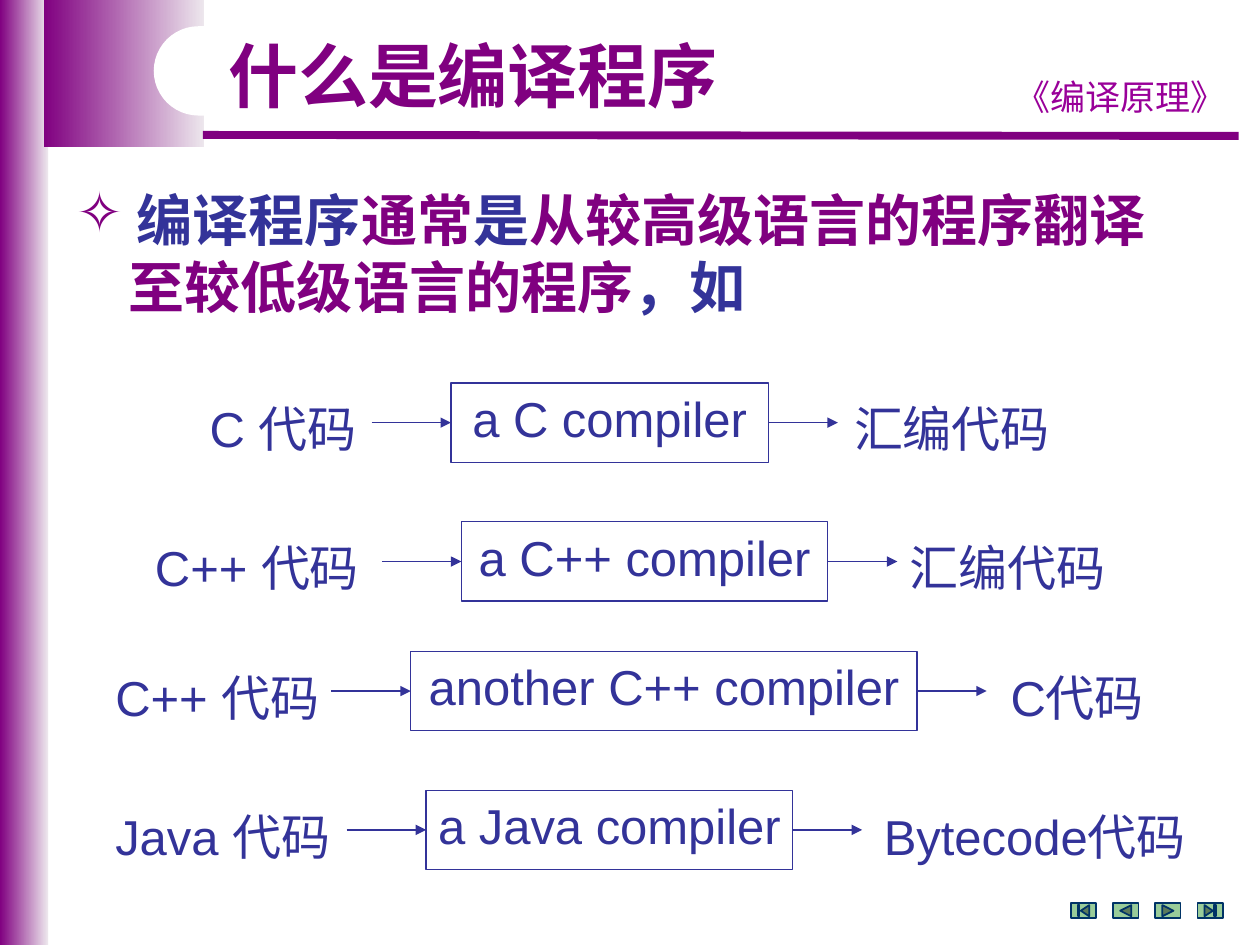
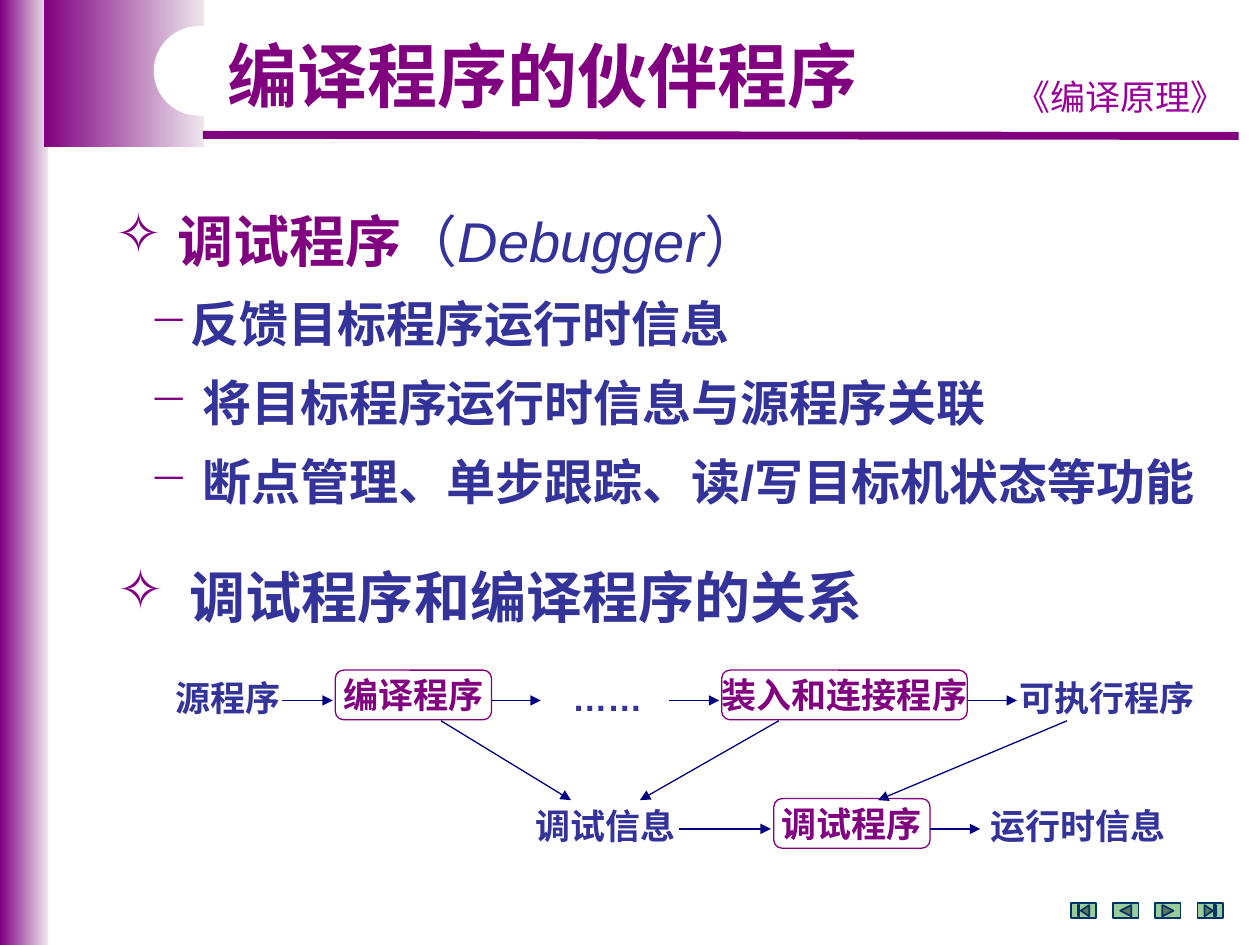
from collections import namedtuple
from dataclasses import dataclass
from lxml.etree import SubElement
from pptx import Presentation
from pptx.dml.color import RGBColor
from pptx.enum.shapes import MSO_CONNECTOR, MSO_SHAPE
from pptx.enum.text import MSO_ANCHOR, PP_ALIGN
from pptx.oxml.ns import qn
from pptx.util import Cm, Pt


@dataclass(frozen=True)
class Theme:
    plum: RGBColor = RGBColor(0x80, 0x00, 0x80)
    pale: RGBColor = RGBColor(0xED, 0xE7, 0xED)
    blue: RGBColor = RGBColor(0x33, 0x33, 0x99)
    navy: RGBColor = RGBColor(0x00, 0x00, 0x80)
    pink: RGBColor = RGBColor(0x99, 0x00, 0x99)
    mint: RGBColor = RGBColor(0x99, 0xCC, 0x99)
    teal: RGBColor = RGBColor(0x00, 0x33, 0x66)
    white: RGBColor = RGBColor(0xFF, 0xFF, 0xFF)
    sans: str = "Arial"
    hand: str = "Comic Neue"
    han: str = "Noto Sans CJK SC"
    title: int = 40
    head: int = 32
    body: int = 28
    note: int = 20


look = Theme()
Run = namedtuple("Run", "text ink bold slant", defaults=(False, False))
Para = namedtuple("Para", "size runs mark left hang above", defaults=("", 0, 0, 0))


def put(page, place, paras, align=PP_ALIGN.CENTER, kind=None, edge=None, gap=1.2, face=look.sans):
    size = [Cm(n) for n in place]
    if kind is None:
        box = page.shapes.add_textbox(*size)
    else:
        box = page.shapes.add_shape(kind, *size)
        box.shadow.inherit = False
        box.fill.solid()
        box.fill.fore_color.rgb = look.white
        box.line.color.rgb = edge
        box.line.width = Pt(0.75)
        box.text_frame.vertical_anchor = MSO_ANCHOR.MIDDLE
    frame = box.text_frame
    frame.word_wrap = align == PP_ALIGN.LEFT
    for i, item in enumerate(paras):
        para = frame.add_paragraph() if i else frame.paragraphs[0]
        para.alignment = align
        para.line_spacing = Pt(round(item.size * gap, 1))
        if item.above:
            para.space_before = Pt(item.above)
        prop = para._p.get_or_add_pPr()
        if item.left:
            prop.set("marL", str(Cm(item.left)))
            prop.set("indent", str(-Cm(item.hang)))
        if item.mark:
            tint = SubElement(prop, qn("a:buClr"))
            SubElement(tint, qn("a:srgbClr"), val=str(look.plum))
            SubElement(prop, qn("a:buChar"), char=item.mark)
        for bit in item.runs:
            run = para.add_run()
            run.text = bit.text
            font = run.font
            font.name = face
            font.size = Pt(item.size)
            font.bold = bit.bold
            font.italic = bit.slant
            font.color.rgb = bit.ink
            SubElement(run._r.get_or_add_rPr(), qn("a:ea"), typeface=look.han)
    return box


def link(page, ends, ink, width=0.75, arrow=True):
    wire = page.shapes.add_connector(MSO_CONNECTOR.STRAIGHT, *[Cm(n) for n in ends])
    wire.line.color.rgb = ink
    wire.line.width = Pt(width)
    if arrow:
        SubElement(wire.line._get_or_add_ln(), qn("a:tailEnd"), type="triangle")
    SubElement(wire._element.spPr, qn("a:effectLst"))
    return wire


deck = Presentation()
deck.slide_width = Cm(25.4)
deck.slide_height = Cm(19.05)

bands = [(0, 0, 0.97, 19.05), (0.89, 0, 3.23, 2.97)]
keys = [
    MSO_SHAPE.ACTION_BUTTON_BEGINNING,
    MSO_SHAPE.ACTION_BUTTON_BACK_OR_PREVIOUS,
    MSO_SHAPE.ACTION_BUTTON_FORWARD_OR_NEXT,
    MSO_SHAPE.ACTION_BUTTON_END,
]
pages = []
for name, wide in [("什么是编译程序", 10.69), ("编译程序的伙伴程序", 13.49)]:
    page = deck.slides.add_slide(deck.slide_layouts[6])
    pages.append(page)
    for place in bands:
        band = page.shapes.add_shape(MSO_SHAPE.RECTANGLE, *[Cm(n) for n in place])
        band.shadow.inherit = False
        band.line.fill.background()
        band.fill.gradient()
        band.fill.gradient_angle = 0
        for stop, ink in zip(band.fill.gradient_stops, (look.plum, look.pale)):
            stop.color.rgb = ink
    link(page, (4.09, 2.72, 24.97, 2.74), look.plum, 4.5, False)
    put(page, (20.09, 1.39, 5, 1.09), [Para(look.note, [Run("《编译原理》", look.pink)])], face=look.hand)
    notch = page.shapes.add_shape(MSO_SHAPE.ROUNDED_RECTANGLE, Cm(3.1), Cm(0.53), Cm(9.19), Cm(1.8))
    notch.adjustments[0] = 0.5
    notch.shadow.inherit = False
    notch.fill.solid()
    notch.fill.fore_color.rgb = look.white
    notch.line.fill.background()
    for i, kind in enumerate(keys):
        key = page.shapes.add_shape(kind, Cm(21.59 + 0.85 * i), Cm(18.21), Cm(0.51), Cm(0.3))
        key.shadow.inherit = False
        key.fill.solid()
        key.fill.fore_color.rgb = look.mint
        key.line.color.rgb = look.teal
        key.line.width = Pt(1)
    put(page, (4.19, 0.53, wide, 1.78), [Para(look.title, [Run(name, look.plum, True)])])

first, second = pages

put(first, (1.3, 3.62, 22.61, 2.97), [
    Para(look.head, [
        Run("编译程序", look.blue, True),
        Run("通常", look.plum, True),
        Run("是", look.blue, True),
        Run("从较高级语言的程序翻译", look.plum, True),
    ], "✧", 1.21, 1.21),
    Para(look.head, [
        Run("至较低级语言的程序", look.plum, True),
        Run("，如", look.blue, True),
    ], left=1.05),
], PP_ALIGN.LEFT)

rows = [
    (7.72, ("C 代码", 3.71, 3.99), ("a C compiler", 9.09, 6.4), ("汇编代码", 16.89, 4.6)),
    (10.52, ("C++ 代码", 2.49, 5.38), ("a C++ compiler", 9.3, 7.39), ("汇编代码", 17.91, 4.8)),
    (13.13, ("C++ 代码", 1.88, 5), ("another C++ compiler", 8.28, 10.21), ("C代码", 19.91, 3.61)),
    (15.93, ("Java 代码", 1.8, 5.38), ("a Java compiler", 8.59, 7.39), ("Bytecode代码", 17.2, 7.32)),
]
for top, source, tool, goal in rows:
    for text, left, wide in (source, goal):
        put(first, (left, top + 0.2, wide, 1.32), [Para(look.body, [Run(text, look.blue)])])
    text, left, wide = tool
    box = put(first, (left, top, wide, 1.6), [Para(look.body, [Run(text, look.blue)])],
              kind=MSO_SHAPE.RECTANGLE, edge=look.blue, gap=1)
    mid, right = top + 0.8, left + wide
    link(first, (left - 1.6, mid, left, mid), look.blue).end_connect(box, 1)
    link(first, (right, mid, right + 1.4, mid), look.blue).begin_connect(box, 3)

put(second, (2.08, 4.03, 23.01, 6.43), [
    Para(look.head, [
        Run("调试程序", look.plum, True),
        Run("（", look.blue),
        Run("Debugger", look.blue, False, True),
        Run("）", look.blue),
    ], "✧", 1.25, 1.25),
    Para(look.body, [Run("反馈目标程序运行时信息", look.blue, True)], "−", 1.52, 0.84, 11.5),
    Para(look.body, [Run("将目标程序运行时信息与源程序关联", look.blue, True)], "−", 1.75, 1.07, 11.5),
    Para(look.body, [Run("断点管理、单步跟踪、读/写目标机状态等功能", look.blue, True)], "−", 1.75, 1.07, 11.5),
], PP_ALIGN.LEFT)
put(second, (2.11, 11.22, 18, 1.6), [
    Para(look.head, [Run("调试程序和编译程序的关系", look.blue, True)], "✧", 1.47, 1.47),
], PP_ALIGN.LEFT)

high, low = 13.51, 16.1
for text, left, top, wide in [
    ("编译程序", 6.76, high, 3.15),
    ("装入和连接程序", 14.55, high, 4.95),
    ("调试程序", 15.6, low, 3.15),
]:
    put(second, (left, top, wide, 1), [Para(look.note, [Run(text, look.plum, True)])],
        kind=MSO_SHAPE.ROUNDED_RECTANGLE, edge=look.plum)
for text, left, top, wide in [
    ("源程序", 3.1, high, 3),
    ("……", 11.05, high, 2.39),
    ("可执行程序", 20.29, high, 4.06),
    ("调试信息", 10.31, low, 3.78),
    ("运行时信息", 19.71, low, 4.06),
]:
    put(second, (left, top, wide, 1.02), [Para(look.note, [Run(text, look.blue, True)])])

for top, spans in [
    (14.12, [(5.69, 6.71), (9.91, 10.9), (13.49, 14.5), (19.51, 20.5)]),
    (16.71, [(13.69, 15.54), (18.75, 19.76)]),
]:
    for left, right in spans:
        link(second, (left, top, right, top), look.navy)
for left, right in [(8.89, 11.51), (15.7, 12.9), (21.51, 17.7)]:
    link(second, (left, 14.53, right, 16.13), look.navy)

deck.save("out.pptx")
